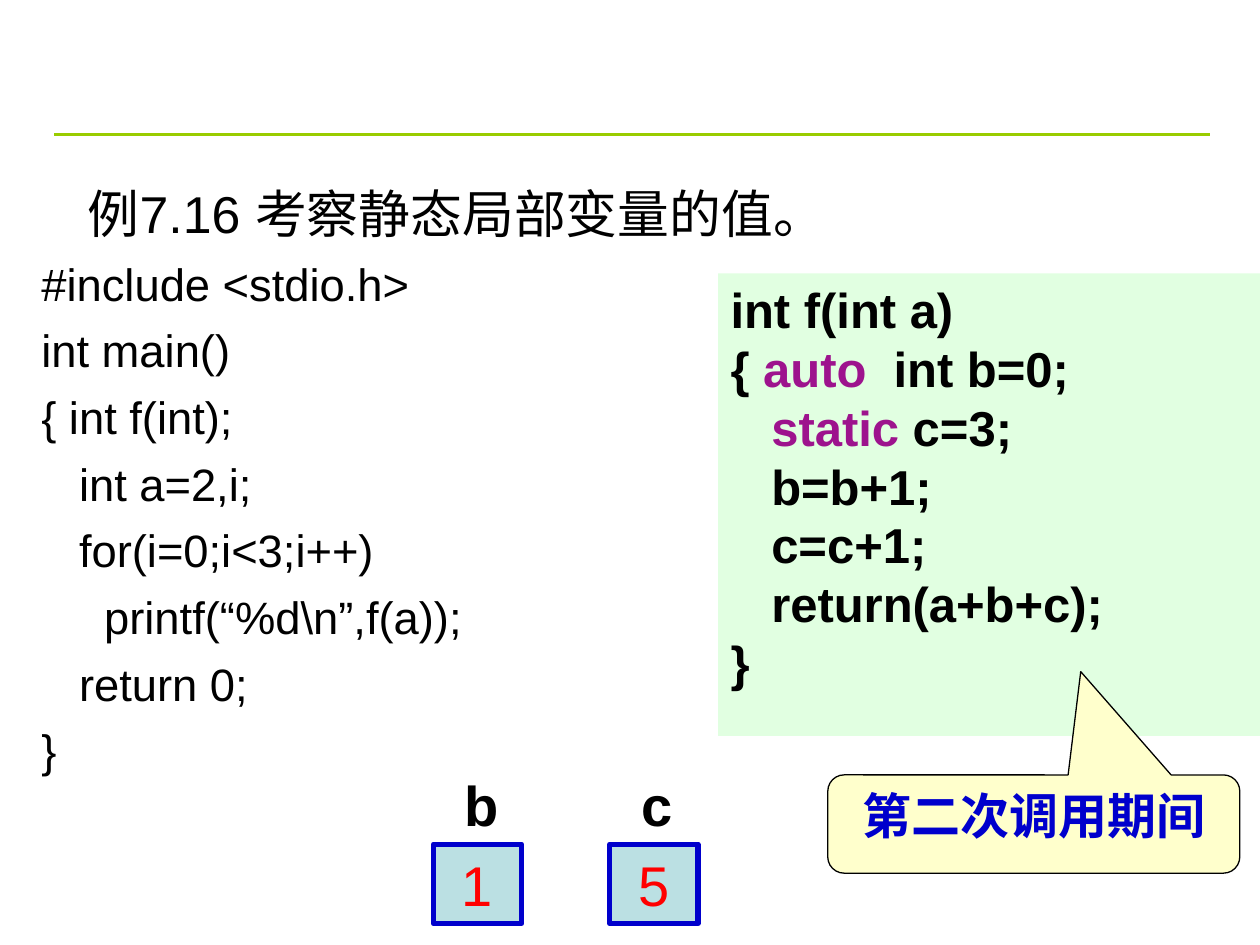
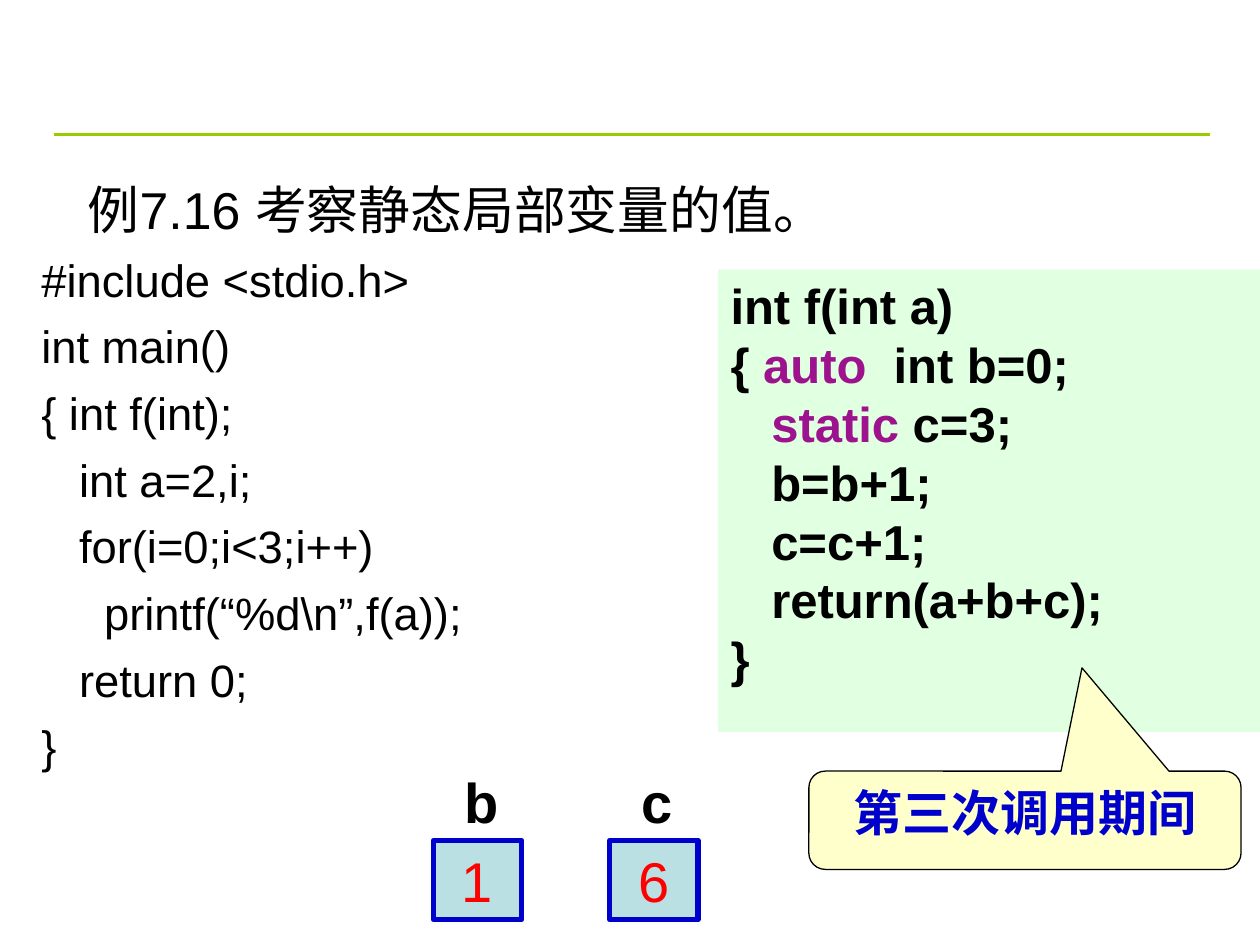
from lxml.etree import SubElement
from pptx import Presentation
from pptx.dml.color import RGBColor
from pptx.enum.shapes import MSO_CONNECTOR, MSO_SHAPE
from pptx.enum.text import MSO_ANCHOR, PP_ALIGN
from pptx.oxml.ns import qn
from pptx.util import Inches, Pt

BLACK = RGBColor(0x00, 0x00, 0x00)
RED = RGBColor(0xFF, 0x00, 0x00)
BLUE = RGBColor(0x00, 0x00, 0xCC)
PURPLE = RGBColor(0x9D, 0x13, 0x8D)
RULE_GREEN = RGBColor(0x99, 0xCC, 0x00)
PALE_GREEN = RGBColor(0xE1, 0xFF, 0xE1)
PALE_YELLOW = RGBColor(0xFF, 0xFF, 0xCC)
PALE_TEAL = RGBColor(0xBB, 0xE0, 0xE3)
FONT = "Arial"

HEADING = "    例7.16 考察静态局部变量的值。"
MAIN_CODE = [
    "#include <stdio.h>",
    "int main()",
    "{ int f(int);",
    "   int a=2,i;",
    "   for(i=0;i<3;i++)",
    "     printf(“%d\\n”,f(a));",
    "   return 0;",
    "}",
]
FUNCTION_CODE = [
    ["int f(int a)"],
    ["{ ", "auto", "  int b=0;"],
    ["   ", "static", " c=3;"],
    ["   b=b+1;"],
    ["   c=c+1;"],
    ["   return(a+b+c);"],
    ["}"],
]
KEYWORDS = {"auto", "static"}
CALLS = [
    {"callout": "第二次调用期间", "values": {"b": "1", "c": "5"},
     "top": 1.39, "left": 6.57, "width": 3.27, "tip": 0.114},
    {"callout": "第三次调用期间", "values": {"b": "1", "c": "6"},
     "top": 1.36, "left": 6.42, "width": 3.43, "tip": 0.132},
]
VARIABLE_LEFT = 3.44
VARIABLE_PITCH = 1.4


def style_span(span, size, color=BLACK, bold=False):
    span.font.name = FONT
    span.font.size = Pt(size)
    span.font.color.rgb = color
    span.font.bold = bold


def write_lines(frame, lines, size, color=BLACK, bold=False, align=PP_ALIGN.LEFT):
    for index, pieces in enumerate(lines):
        para = frame.paragraphs[0] if index == 0 else frame.add_paragraph()
        para.alignment = align
        para.line_spacing = 1.0
        for piece in pieces:
            span = para.add_run()
            span.text = piece
            style_span(span, size, PURPLE if piece in KEYWORDS else color, bold)


def add_box(page, kind, left, top, width, height, fill, line=None, line_width=0):
    box = page.shapes.add_shape(
        kind, Inches(left), Inches(top), Inches(width), Inches(height))
    box.shadow.inherit = False
    box.fill.solid()
    box.fill.fore_color.rgb = fill
    if line is None:
        box.line.fill.background()
    else:
        box.line.color.rgb = line
        box.line.width = Pt(line_width)
    box.text_frame.vertical_anchor = MSO_ANCHOR.TOP
    return box


def add_text(page, left, top, width, height):
    box = page.shapes.add_textbox(
        Inches(left), Inches(top), Inches(width), Inches(height))
    box.text_frame.word_wrap = True
    return box.text_frame


def add_rule(page):
    rule = page.shapes.add_connector(
        MSO_CONNECTOR.STRAIGHT, Inches(0.43), Inches(1.07), Inches(9.6), Inches(1.07))
    rule.line.color.rgb = RULE_GREEN
    rule.line.width = Pt(1.5)
    SubElement(rule._element.spPr, qn("a:effectLst"))


def add_main_code(page, top):
    frame = add_text(page, 0.23, top, 7.66, 5.31)
    write_lines(frame, [[HEADING]] + [[line] for line in MAIN_CODE], 25.9)
    frame.paragraphs[0].runs[0].font.size = Pt(29.6)
    for para in frame.paragraphs[1:]:
        para.space_before = Pt(7)


def add_function_code(page, top):
    panel = add_box(page, MSO_SHAPE.RECTANGLE, 5.7, top, 4.3, 3.67, PALE_GREEN)
    write_lines(panel.text_frame, FUNCTION_CODE, 28, bold=True)


def add_callout(page, call, top):
    callout = add_box(page, MSO_SHAPE.ROUNDED_RECTANGULAR_CALLOUT, call["left"], top,
                      call["width"], 0.78, PALE_YELLOW, BLACK, 0.75)
    for index, value in enumerate((call["tip"], -1.551, 0.167)):
        callout.adjustments[index] = value
    write_lines(callout.text_frame, [[call["callout"]]], 28, BLUE, True, PP_ALIGN.CENTER)


def add_variables(page, values, top):
    for index, (name, value) in enumerate(values.items()):
        left = VARIABLE_LEFT + index * VARIABLE_PITCH
        label = add_text(page, left + 0.15, top, 0.47, 0.64)
        write_lines(label, [[name]], 32, bold=True)
        cell = add_box(page, MSO_SHAPE.RECTANGLE, left, top + 0.63, 0.7, 0.63,
                       PALE_TEAL, BLUE, 3)
        cell.text_frame.word_wrap = False
        cell.text_frame.vertical_anchor = MSO_ANCHOR.MIDDLE
        write_lines(cell.text_frame, [[value]], 32, RED, align=PP_ALIGN.CENTER)


def main():
    deck = Presentation()
    deck.slide_width = Inches(10)
    deck.slide_height = Inches(7.5)
    for call in CALLS:
        page = deck.slides.add_slide(deck.slide_layouts[6])
        top = call["top"]
        add_rule(page)
        add_main_code(page, top)
        add_function_code(page, top + 0.78)
        add_callout(page, call, top + 4.76)
        add_variables(page, call["values"], top + 4.68)
    deck.save("out.pptx")


if __name__ == "__main__":
    main()
